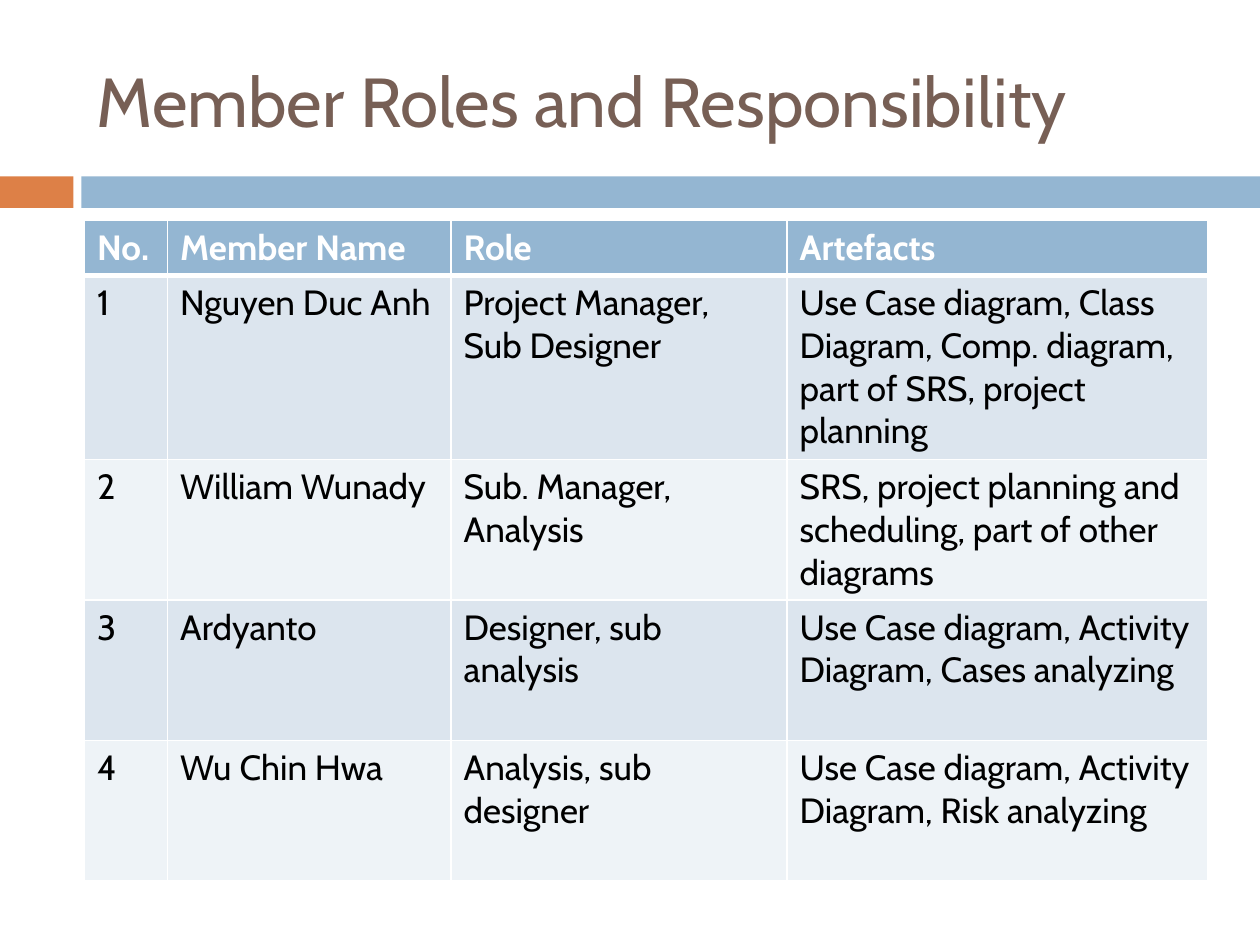
from dataclasses import dataclass

from lxml.etree import SubElement
from pptx import Presentation
from pptx.dml.color import RGBColor
from pptx.enum.shapes import MSO_SHAPE
from pptx.enum.text import MSO_ANCHOR, MSO_AUTO_SIZE, PP_ALIGN
from pptx.oxml.ns import qn
from pptx.util import Pt


@dataclass(frozen=True)
class Theme:
    font: str = "Cabin"
    title_size: float = 39.6
    table_size: float = 20
    title: str = "775F55"
    accent: str = "DD8047"
    header: str = "94B6D2"
    bands: tuple = ("DCE5EE", "EEF3F7")
    text: str = "000000"
    white: str = "FFFFFF"


class SlideBuilder:
    def __init__(self, slide, theme):
        self.slide = slide
        self.theme = theme

    def style(self, paragraph, size, color, bold=False):
        paragraph.alignment = PP_ALIGN.LEFT
        font = paragraph.runs[0].font
        values = {"name": self.theme.font, "size": Pt(size), "bold": bold}
        for name, value in values.items():
            setattr(font, name, value)
        font.color.rgb = RGBColor.from_string(color)

    def title(self, text, left, top, width, height):
        shape = self.slide.shapes.title
        box = {"left": left, "top": top, "width": width, "height": height}
        for name, value in box.items():
            setattr(shape, name, Pt(value))
        frame = shape.text_frame
        frame.text = text
        settings = {"word_wrap": True, "auto_size": MSO_AUTO_SIZE.NONE,
                    "vertical_anchor": MSO_ANCHOR.MIDDLE}
        for name, value in settings.items():
            setattr(frame, name, value)
        self.style(frame.paragraphs[0], self.theme.title_size, self.theme.title)

    def bar(self, color, *box):
        shape = self.slide.shapes.add_shape(MSO_SHAPE.RECTANGLE, *map(Pt, box))
        shape.shadow.inherit = False
        shape.fill.solid()
        shape.fill.fore_color.rgb = RGBColor.from_string(color)
        shape.line.fill.background()

    def borders(self, cell, widths):
        properties = cell._tc.get_or_add_tcPr()
        for position, (side, width) in enumerate(widths.items()):
            line = SubElement(properties, qn(f"a:{side}"), w=str(Pt(width)))
            fill = SubElement(line, qn("a:solidFill"))
            SubElement(fill, qn("a:srgbClr"), val=self.theme.white)
            # Borders come before the fill in the cell properties
            properties.insert(position, line)

    def table(self, rows, left, top, widths, heights):
        frame = self.slide.shapes.add_table(
            len(rows), len(widths), Pt(left), Pt(top),
            Pt(sum(widths)), Pt(sum(heights)))
        table = frame.table
        for column, width in zip(table.columns, widths):
            column.width = Pt(width)
        for index, (row, height) in enumerate(zip(rows, heights)):
            table.rows[index].height = Pt(height)
            is_header = index == 0
            fill = self.theme.header if is_header else self.theme.bands[(index - 1) % 2]
            color = self.theme.white if is_header else self.theme.text
            sides = {"lnL": 1, "lnR": 1, "lnT": 3 if index == 1 else 1,
                     "lnB": 3 if is_header else 1}
            for column, text in enumerate(row):
                cell = table.cell(index, column)
                cell.text = text
                cell.fill.solid()
                cell.fill.fore_color.rgb = RGBColor.from_string(fill)
                self.style(cell.text_frame.paragraphs[0], self.theme.table_size,
                           color, is_header)
                self.borders(cell, sides)


MEMBERS = [
    ("No.", "Member Name", "Role", "Artefacts"),
    ("1", "Nguyen Duc Anh", "Project Manager, Sub Designer",
     "Use Case diagram, Class Diagram, Comp. diagram, part of SRS, project planning"),
    ("2", "William Wunady", "Sub. Manager, Analysis",
     "SRS, project planning and scheduling, part of other diagrams"),
    ("3", "Ardyanto", "Designer, sub analysis",
     "Use Case diagram, Activity Diagram, Cases analyzing"),
    ("4", "Wu Chin Hwa", "Analysis, sub designer",
     "Use Case diagram, Activity Diagram, Risk analyzing"),
]


def main():
    presentation = Presentation()
    presentation.slide_width, presentation.slide_height = Pt(720), Pt(540)
    slide = presentation.slides.add_slide(presentation.slide_layouts[5])
    theme = Theme()
    builder = SlideBuilder(slide, theme)

    # Title and the two-part rule below it
    builder.title("Member Roles and Responsibility", 48, 18, 642, 78)
    builder.bar(theme.accent, 0, 100.8, 42, 18)
    builder.bar(theme.header, 46.5, 100.8, 673.5, 18)

    # Team table
    builder.table(MEMBERS, 48.3, 126, widths=(47.5, 162, 192, 240.5),
                  heights=(31, 105, 80.3, 80.3, 80.3))

    presentation.save("out.pptx")


if __name__ == "__main__":
    main()
